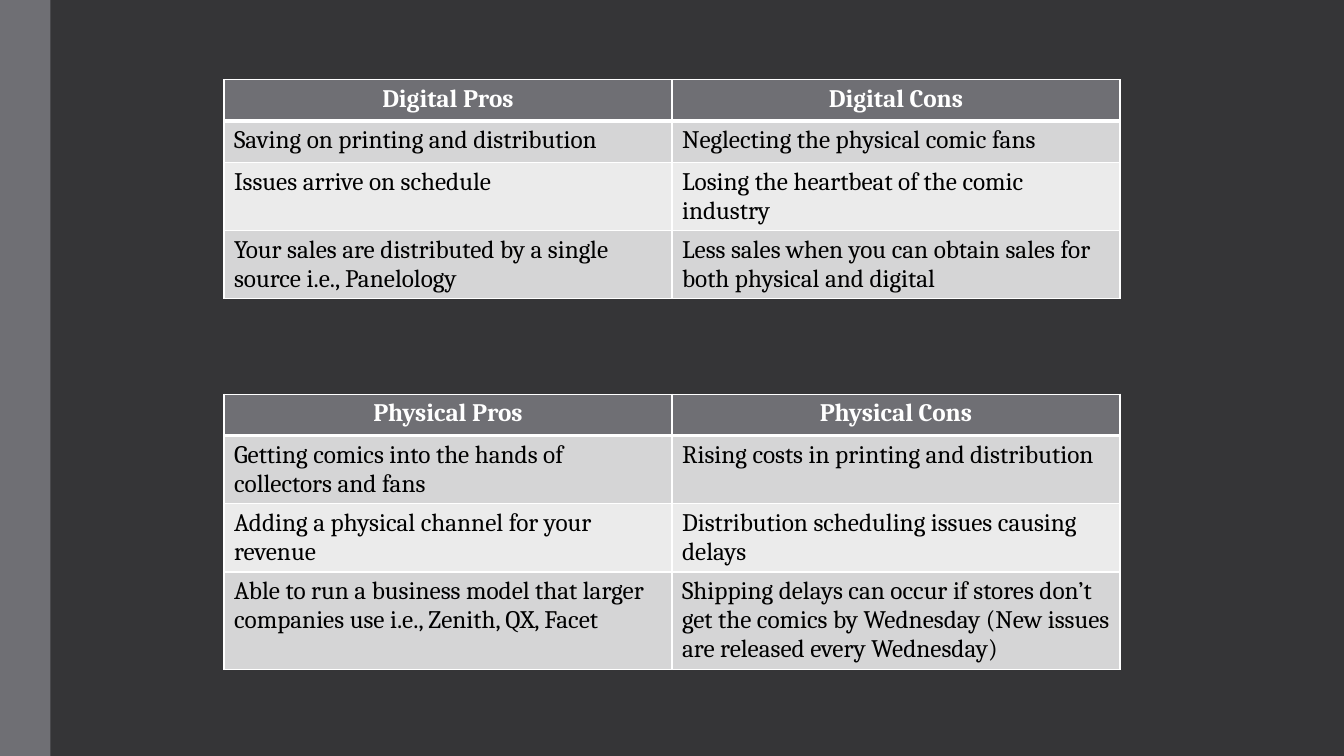
from lxml import etree
from pptx import Presentation
from pptx.dml.color import RGBColor
from pptx.enum.shapes import MSO_SHAPE
from pptx.enum.text import PP_ALIGN
from pptx.oxml.ns import qn
from pptx.util import Inches, Pt

RECTANGLE = MSO_SHAPE.RECTANGLE
LEFT, CENTER = PP_ALIGN.LEFT, PP_ALIGN.CENTER

SLIDE_W, SLIDE_H = Inches(13.33), Inches(7.5)
BAR_W = Inches(0.5)
TABLE_LEFT, TABLE_W = SLIDE_W // 6, SLIDE_W * 2 // 3
ROW_H = Inches(0.41)
FONT = "Cambria"
COLORS = {
    "background": "353537",
    "accent": "6F6F74",
    "band_dark": "D5D5D6",
    "band_light": "EBEBEB",
    "white": "FFFFFF",
    "black": "000000",
}

DIGITAL = [
    ("Digital Pros", "Digital Cons"),
    ("Saving on printing and distribution", "Neglecting the physical comic fans"),
    ("Issues arrive on schedule", "Losing the heartbeat of the comic industry"),
    ("Your sales are distributed by a single source i.e., Panelology",
     "Less sales when you can obtain sales for both physical and digital"),
]
PHYSICAL = [
    ("Physical Pros", "Physical Cons"),
    ("Getting comics into the hands of collectors and fans",
     "Rising costs in printing and distribution"),
    ("Adding a physical channel for your revenue",
     "Distribution scheduling issues causing delays"),
    ("Able to run a business model that larger companies use i.e., Zenith, QX, Facet",
     "Shipping delays can occur if stores don’t get the comics by Wednesday "
     "(New issues are released every Wednesday)"),
]


def paint(fill, color):
    fill.solid()
    fill.fore_color.rgb = RGBColor.from_string(COLORS[color])


def write(tf, text, size=18, color="black", bold=False, align=LEFT):
    p = tf.paragraphs[0]
    p.alignment = align
    r = p.add_run()
    r.text = text
    r.font.name = FONT
    r.font.size = Pt(size)
    r.font.bold = bold
    r.font.color.rgb = RGBColor.from_string(COLORS[color])


def set_borders(cell, top=1, bottom=1):
    """White cell borders; widths in points."""
    tc_pr = cell._tc.get_or_add_tcPr()
    widths = {"lnL": 1, "lnR": 1, "lnT": top, "lnB": bottom}
    # Borders must precede the fill
    for i, (side, width) in enumerate(widths.items()):
        ln = etree.Element(qn(f"a:{side}"), w=str(Pt(width)))
        solid = etree.SubElement(ln, qn("a:solidFill"))
        etree.SubElement(solid, qn("a:srgbClr"), val=COLORS["white"])
        tc_pr.insert(i, ln)


def add_side_bar(s):
    sp = s.shapes.add_shape(RECTANGLE, 0, 0, BAR_W, SLIDE_H)
    sp.shadow.inherit = False
    paint(sp.fill, "accent")
    sp.line.fill.background()


def add_pros_cons(s, top, rows):
    columns = len(rows[0])
    table = s.shapes.add_table(len(rows), columns, TABLE_LEFT, top,
                               TABLE_W, ROW_H * len(rows)).table
    for i, row in enumerate(rows):
        table.rows[i].height = ROW_H
        header = i == 0
        band = "accent" if header else ("band_light", "band_dark")[i % 2]
        for j, text in enumerate(row):
            cell = table.cell(i, j)
            paint(cell.fill, band)
            set_borders(cell, top=3 if i == 1 else 1, bottom=3 if header else 1)
            write(cell.text_frame, text, bold=header,
                  color="white" if header else "black",
                  align=CENTER if header else LEFT)


def main():
    prs = Presentation()
    prs.slide_width, prs.slide_height = SLIDE_W, SLIDE_H
    s = prs.slides.add_slide(prs.slide_layouts[6])

    # Backdrop
    paint(s.background.fill, "background")
    add_side_bar(s)

    # Comparison tables
    add_pros_cons(s, Inches(0.79), DIGITAL)
    add_pros_cons(s, Inches(3.91), PHYSICAL)

    prs.save("out.pptx")


if __name__ == "__main__":
    main()
